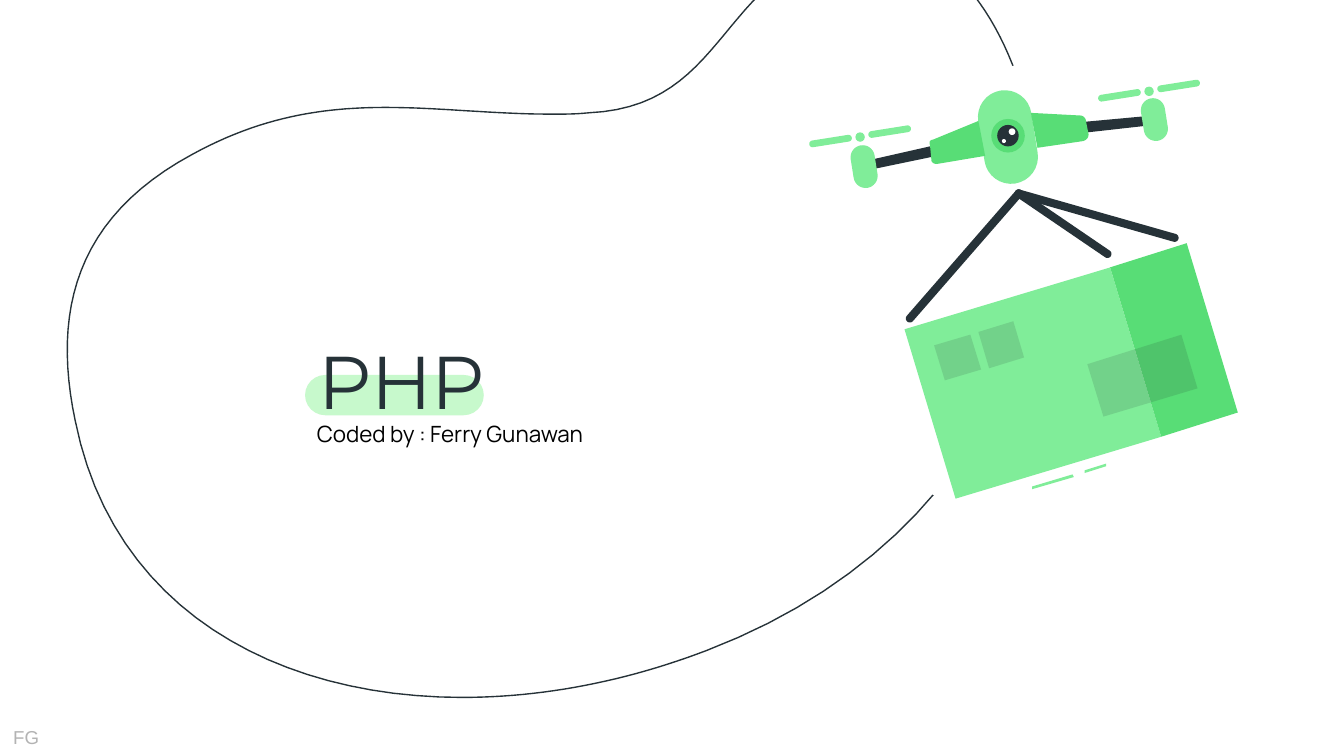
from math import atan2, cos, pi, sin

from lxml.etree import SubElement
from pptx import Presentation
from pptx.dml.color import RGBColor
from pptx.enum.shapes import MSO_SHAPE
from pptx.oxml.ns import qn
from pptx.util import Inches, Pt

SLIDE_W, SLIDE_H = 10, 10 * 9 / 16
DARK, LIGHT, GREEN, WHITE = "263238", "80ED99", "58DD76", "FFFFFF"
PALE, SHADE = "C7F9CC", "1A2327"

# text, box, font, size, colour, inset above and below
TEXTS = [
    ("PHP", (2.27, 2.39, 1.61, 0.79), "Montserrat", 40, DARK, 0.1),
    ("Coded by : Ferry Gunawan", (2.26, 3.08, 2.43, 0.3), "Manrope", 12, "000000", 0.05),
    ("FG", (0, 5.35, 0.39, 0.27), "Arial", 10, "B3B3B3", 0.05),
]

# Outlines: two numbers are a corner, six are a cubic curve
TRACK = [
    (6.51, -0.44), (6.36, -0.44, 6.19, -0.4, 6.01, -0.31),
    (5.34, 0.04, 5.29, 0.8, 4.38, 0.84), (4.29, 0.85, 4.2, 0.85, 4.11, 0.85),
    (3.67, 0.85, 3.27, 0.8, 2.87, 0.8), (2.4, 0.8, 1.94, 0.87, 1.43, 1.15),
    (0.56, 1.62, 0.39, 2.32, 0.56, 3.13), (0.84, 4.53, 2.05, 5.19, 3.44, 5.19),
    (4.04, 5.19, 4.66, 5.07, 5.26, 4.84), (7.17, 4.11, 8.05, 2.42, 7.62, 0.74),
    (7.48, 0.23, 7.12, -0.44, 6.51, -0.44),
]
PARCEL = [
    (LIGHT, [(7.98, 3.53), (7.68, 3.62), (7.68, 3.64), (7.99, 3.55)]),
    (LIGHT, [(8.23, 3.45), (8.07, 3.5), (8.07, 3.52), (8.23, 3.47)]),
    (LIGHT, [(8.26, 1.99), (6.73, 2.45), (7.11, 3.71), (8.64, 3.25)]),
    (GREEN, [(8.83, 1.81), (8.26, 1.99), (8.64, 3.25), (9.21, 3.07)]),
]
LABELS = [
    [(8.79, 2.49), (8.09, 2.71), (8.21, 3.1), (8.91, 2.89)],
    [(7.22, 2.49), (6.95, 2.57), (7.03, 2.83), (7.3, 2.75)],
    [(7.54, 2.39), (7.28, 2.47), (7.36, 2.74), (7.62, 2.66)],
]
ARMS = [
    (DARK, [(8.58, 0.86), (8.04, 0.91), (8.05, 0.99), (8.59, 0.93)]),
    (DARK, [(6.96, 1.08), (6.43, 1.2), (6.44, 1.27), (6.97, 1.16)]),
    (GREEN, [(7.67, 0.84), (7.72, 1.1), (8.06, 1.05), (8.09, 1.04, 8.1, 1.02, 8.1, 1),
             (8.08, 0.9), (8.08, 0.88, 8.06, 0.86, 8.04, 0.86)]),
    (GREEN, [(7.28, 0.9), (6.94, 1.04), (6.92, 1.04, 6.91, 1.06, 6.92, 1.08),
             (6.93, 1.19), (6.93, 1.21, 6.95, 1.22, 6.97, 1.22), (7.33, 1.16)]),
]
TILT = -pi / 20
# centre, length, thickness; upright parts lean with the drone
BODY = ((7.5, 1.02), 0.7, 0.4)
PODS = [((6.43, 1.24), 0.32, 0.18), ((8.59, 0.89), 0.32, 0.18)]
BLADES = [(6.18, 1.05), (6.62, 0.98), (8.33, 0.71), (8.77, 0.64)]
# centre, diameter, colour
DISCS = [
    ((7.5, 1.01), 0.25, GREEN), ((7.5, 1.01), 0.16, DARK),
    ((7.53, 0.98), 0.05, WHITE), ((7.47, 1.05), 0.03, WHITE),
    ((6.4, 1.02), 0.07, LIGHT), ((8.55, 0.68), 0.07, LIGHT),
]
HOOK = (7.58, 1.44)
CABLE_ENDS = [(8.74, 1.77), (8.24, 1.89), (6.77, 2.37)]


def rgb(value):
    return RGBColor.from_string(value)


def paint(s, fill, alpha=None):
    s.shadow.inherit = False
    s.line.fill.background()
    s.fill.solid()
    s.fill.fore_color.rgb = rgb(fill)
    if alpha:
        color = s._element.spPr.find(qn("a:solidFill"))[0]
        SubElement(color, qn("a:alpha")).set("val", str(alpha * 1000))


def flatten(outline, steps=24):
    """Turn corners and cubic curves into a list of points."""
    points = []
    for part in outline:
        if len(part) == 2:
            points.append(part)
            continue
        ends = [points[-1], part[:2], part[2:4], part[4:]]
        for i in range(1, steps + 1):
            t = i / steps
            weights = ((1 - t) ** 3, 3 * t * (1 - t) ** 2, 3 * t * t * (1 - t), t ** 3)
            points.append(tuple(sum(w * e[axis] for w, e in zip(weights, ends))
                                for axis in (0, 1)))
    return points


def freeform(shapes, outline):
    emu = [(Inches(x), Inches(y)) for x, y in flatten(outline)]
    builder = shapes.build_freeform(*emu[0])
    builder.add_line_segments(emu[1:], close=True)
    return builder.convert_to_shape()


def capsule(start, end, thickness, steps=16):
    """Outline of a round-ended bar between the centres of its two ends."""
    angle = atan2(end[1] - start[1], end[0] - start[0])
    r = thickness / 2
    return [(x + r * cos(a), y + r * sin(a))
            for (x, y), turn in ((end, -pi / 2), (start, pi / 2))
            for a in (angle + turn + pi * i / steps for i in range(steps + 1))]


def centred_capsule(centre, length, thickness, angle):
    half = (length - thickness) / 2
    dx, dy = half * cos(angle), half * sin(angle)
    x, y = centre
    return capsule((x - dx, y - dy), (x + dx, y + dy), thickness)


def preset(shapes, kind, box, fill):
    s = shapes.add_shape(kind, *map(Inches, box))
    paint(s, fill)
    return s


def add_text(shapes, text, box, font, size, color, inset):
    tf = shapes.add_textbox(*map(Inches, box)).text_frame
    tf.word_wrap = True
    tf.margin_top = tf.margin_bottom = Inches(inset)
    tf.text = text
    f = tf.paragraphs[0].runs[0].font
    f.name, f.size, f.color.rgb = font, Pt(size), rgb(color)


def add_drone(shapes):
    preset(shapes, MSO_SHAPE.OVAL, (6.08, 0.47, 3.44, 3.44), WHITE)
    body = [(LIGHT, centred_capsule(*BODY, TILT + pi / 2))]
    pods = [(LIGHT, centred_capsule(*pod, TILT + pi / 2)) for pod in PODS]
    blades = [(LIGHT, centred_capsule(c, 0.32, 0.05, TILT)) for c in BLADES]
    cables = [(DARK, capsule(HOOK, end, 0.06)) for end in CABLE_ENDS]
    for fill, outline in PARCEL:
        paint(freeform(shapes, outline), fill)
    for outline in LABELS:
        paint(freeform(shapes, outline), SHADE, 13)
    for fill, outline in body + ARMS + pods + blades + cables:
        paint(freeform(shapes, outline), fill)
    for (x, y), d, fill in DISCS:
        preset(shapes, MSO_SHAPE.OVAL, (x - d / 2, y - d / 2, d, d), fill)


def main():
    prs = Presentation()
    prs.slide_width, prs.slide_height = Inches(SLIDE_W), Inches(SLIDE_H)
    shapes = prs.slides.add_slide(prs.slide_layouts[6]).shapes

    track = freeform(shapes, TRACK)
    track.shadow.inherit = False
    track.fill.background()
    track.line.color.rgb = rgb(DARK)
    track.line.width = Pt(0.75)

    highlight = preset(shapes, MSO_SHAPE.ROUNDED_RECTANGLE, (2.27, 2.79, 1.33, 0.3), PALE)
    highlight.adjustments[0] = 0.5
    add_drone(shapes.add_group_shape().shapes)
    for item in TEXTS:
        add_text(shapes, *item)
    prs.save("out.pptx")


if __name__ == "__main__":
    main()
